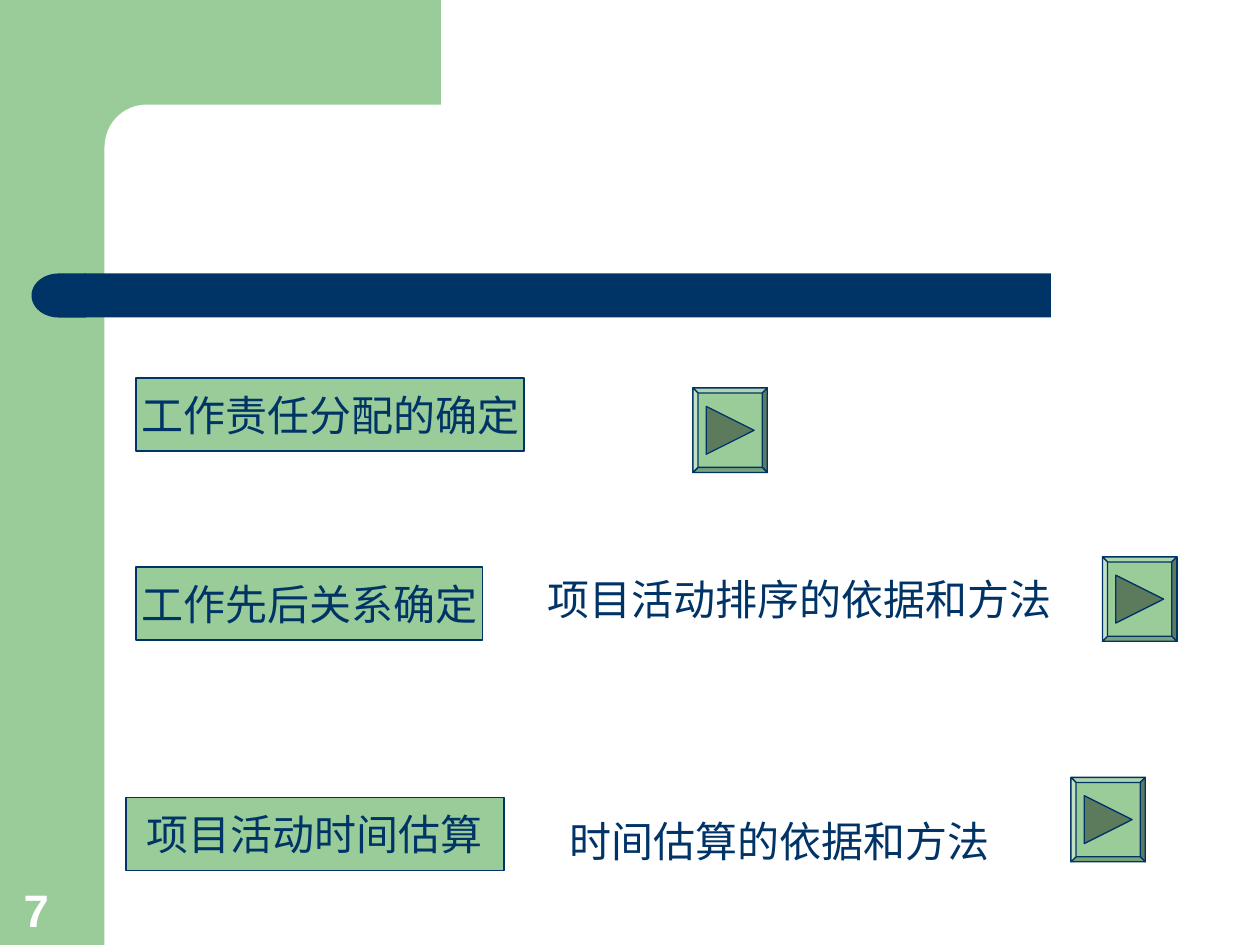
from dataclasses import dataclass

import pptx
import pptx.dml.color
import pptx.enum.shapes
import pptx.enum.text
import pptx.util
from pptx.util import Inches

Kind = pptx.enum.shapes.MSO_SHAPE
Align = pptx.enum.text.PP_ALIGN
Anchor = pptx.enum.text.MSO_ANCHOR


@dataclass(frozen=True)
class Theme:
    green: str = "99CC99"
    navy: str = "003366"
    white: str = "FFFFFF"
    bevel_top: str = "ADD6AD"
    bevel_left: str = "C2E0C2"
    bevel_bottom: str = "7AA37A"
    dark_green: str = "5C7A5C"
    body_font: str = "Times New Roman"
    number_font: str = "Arial"
    body_size: int = 24
    number_size: int = 26
    line_width: float = 0.75


@dataclass(frozen=True)
class Area:
    left: float
    top: float
    width: float
    height: float

    def lengths(self) -> tuple:
        return tuple(Inches(v) for v in (self.left, self.top, self.width, self.height))


@dataclass(frozen=True)
class Label:
    text: str
    area: Area


THEME = Theme()

STEPS = [
    Label("工作责任分配的确定", Area(1.08, 3, 3.08, 0.58)),
    Label("工作先后关系确定", Area(1.08, 4.5, 2.75, 0.58)),
    Label("项目活动时间估算", Area(1, 6.33, 3, 0.58)),
]
METHODS = [
    Label("项目活动排序的依据和方法", Area(4.25, 4.5, 4.25, 0.5)),
    Label("时间估算的依据和方法", Area(4.42, 6.42, 4.33, 0.5)),
]
BUTTONS = [Area(left, top, 0.59, 0.67) for left, top in ((5.5, 3.08), (8.75, 4.42), (8.5, 6.17))]


def color(code: str) -> pptx.dml.color.RGBColor:
    return pptx.dml.color.RGBColor.from_string(code)


def paint(shape, fill: str, outlined: bool = False) -> None:
    shape.shadow.inherit = False
    shape.fill.solid()
    shape.fill.fore_color.rgb = color(fill)
    if outlined:
        shape.line.color.rgb = color(THEME.navy)
        shape.line.width = pptx.util.Pt(THEME.line_width)
    else:
        shape.line.fill.background()


def add_block(page, kind, area: Area, fill: str, outlined: bool = False):
    block = page.shapes.add_shape(kind, *area.lengths())
    paint(block, fill, outlined)
    return block


def write(box, text: str, *, font: str = THEME.body_font, size: int = THEME.body_size,
          ink: str = THEME.navy, bold: bool = False, align=Align.LEFT,
          anchor=Anchor.TOP, wrap: bool = True) -> None:
    frame = box.text_frame
    frame.word_wrap = wrap
    frame.vertical_anchor = anchor
    para = frame.paragraphs[0]
    para.alignment = align
    span = para.add_run()
    span.text = text
    span.font.name = font
    span.font.size = pptx.util.Pt(size)
    span.font.bold = bold
    span.font.color.rgb = color(ink)


def add_polygon(page, points: list[tuple[float, float]], fill: str) -> None:
    start, *others = [(Inches(x), Inches(y)) for x, y in points]
    builder = page.shapes.build_freeform(*start)
    builder.add_line_segments(others, close=True)
    paint(builder.convert_to_shape(), fill, outlined=True)


def add_button(page, area: Area) -> None:
    """Draw a bevelled button with a triangle pointing right."""
    def corners(inset: float) -> list[tuple[float, float]]:
        left, top = area.left + inset, area.top + inset
        right = area.left + area.width - inset
        bottom = area.top + area.height - inset
        return [(left, top), (right, top), (right, bottom), (left, bottom)]

    outer, inner = corners(0), corners(0.04)
    add_polygon(page, outer, THEME.green)
    sides = (THEME.bevel_top, THEME.dark_green, THEME.bevel_bottom, THEME.bevel_left)
    for i, fill in enumerate(sides):
        j = (i + 1) % 4
        add_polygon(page, [outer[i], outer[j], inner[j], inner[i]], fill)

    middle_x = area.left + area.width / 2
    middle_y = area.top + area.height / 2
    reach = 0.19
    add_polygon(page, [(middle_x - reach, middle_y - reach), (middle_x + reach, middle_y),
                       (middle_x - reach, middle_y + reach)], THEME.dark_green)


def add_frame(page) -> None:
    """Draw the green corner and the navy bar."""
    add_block(page, Kind.RECTANGLE, Area(0, 0, 0.83, 7.5), THEME.green)
    add_block(page, Kind.RECTANGLE, Area(0.75, 0, 2.75, 1.17), THEME.green)
    panel = add_block(page, Kind.ROUNDED_RECTANGLE, Area(0.83, 0.83, 5.58, 0.67), THEME.white)
    panel.adjustments[0] = 0.5
    add_block(page, Kind.RECTANGLE, Area(0.67, 2.17, 7.67, 0.35), THEME.navy)
    cap = add_block(page, Kind.FLOWCHART_DELAY, Area(0.25, 2.17, 0.43, 0.35), THEME.navy)
    cap.rotation = 180


def main() -> None:
    deck = pptx.Presentation()
    deck.slide_width, deck.slide_height = Inches(10), Inches(7.5)
    page = deck.slides.add_slide(deck.slide_layouts[6])

    add_frame(page)
    for step in STEPS:
        box = add_block(page, Kind.RECTANGLE, step.area, THEME.green, outlined=True)
        write(box, step.text, align=Align.CENTER, anchor=Anchor.MIDDLE, wrap=False)
    for method in METHODS:
        write(page.shapes.add_textbox(*method.area.lengths()), method.text)
    for area in BUTTONS:
        add_button(page, area)
    number = page.shapes.add_textbox(*Area(0.09, 6.94, 0.64, 0.54).lengths())
    write(number, "7", font=THEME.number_font, size=THEME.number_size,
          ink=THEME.white, bold=True, anchor=Anchor.BOTTOM)

    deck.save("out.pptx")


if __name__ == "__main__":
    main()
